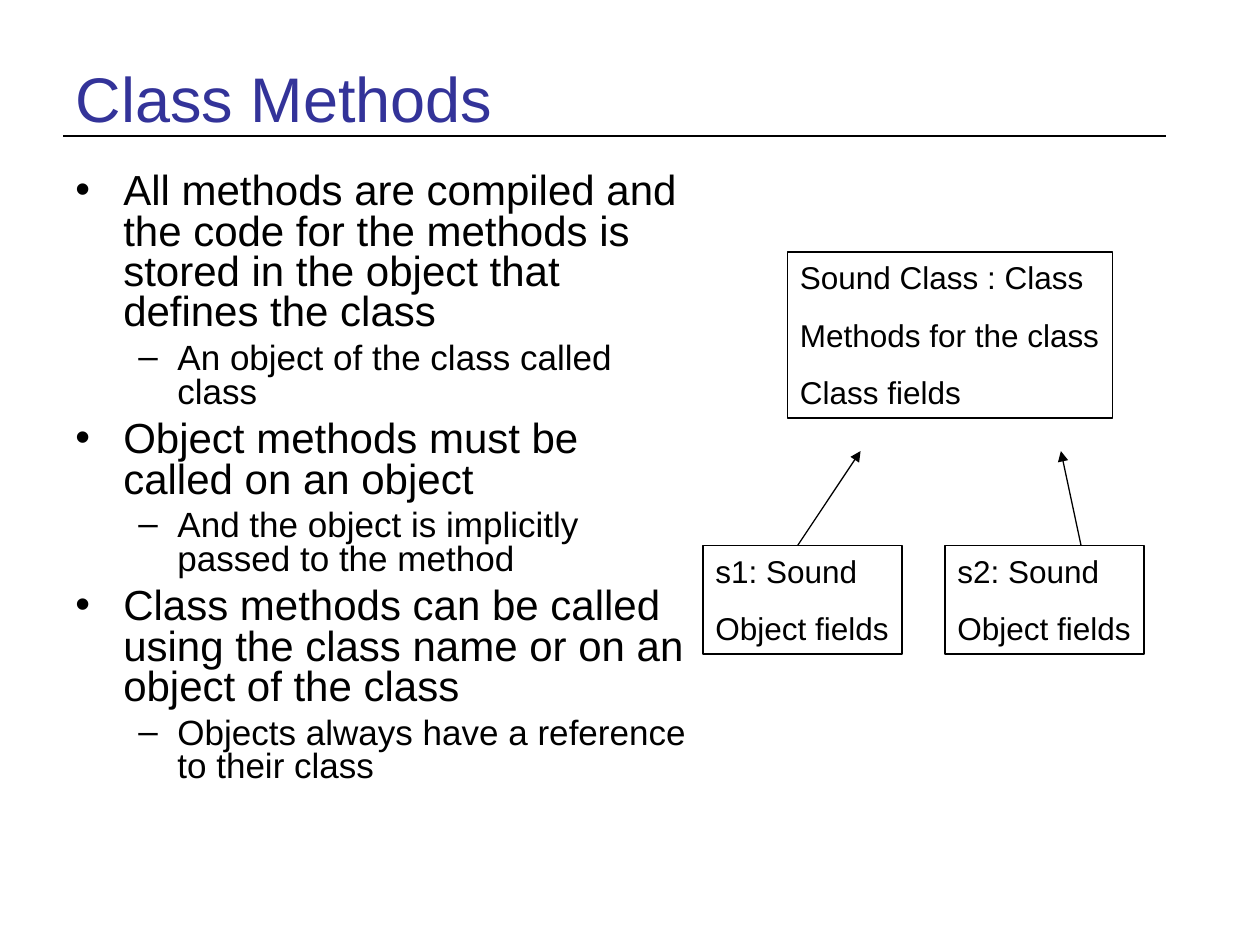
from dataclasses import dataclass

from lxml.etree import SubElement
from pptx import Presentation
from pptx.dml.color import RGBColor
from pptx.enum.shapes import MSO_CONNECTOR as CONNECTOR, MSO_SHAPE as SHAPE
from pptx.enum.text import MSO_ANCHOR as ANCHOR, PP_ALIGN as ALIGN
from pptx.oxml.ns import qn
from pptx.util import Inches, Pt


@dataclass(frozen=True)
class Theme:
    """Colours, font and sizes used across the slide."""
    font: str = "Arial"
    ink: RGBColor = RGBColor(0, 0, 0)
    heading: RGBColor = RGBColor(0x33, 0x33, 0x99)
    title_size: int = 36
    point_size: int = 24
    detail_size: int = 20
    box_size: int = 18


THEME = Theme()

POINTS = [
    ("All methods are compiled and the code for the methods is stored in "
     "the object that defines the class",
     "An object of the class called class"),
    ("Object methods must be called on an object",
     "And the object is implicitly passed to the method"),
    ("Class methods can be called using the class name or on an object of "
     "the class",
     "Objects always have a reference to their class"),
]


def style(paragraph, size, color=THEME.ink):
    """Left-align a paragraph and set the font of its runs."""
    paragraph.alignment = ALIGN.LEFT
    for run in paragraph.runs:
        run.font.name = THEME.font
        run.font.size = Pt(size)
        run.font.color.rgb = color


def set_bullet(paragraph, mark, margin, hang):
    """Give a paragraph a bullet character with a hanging indent."""
    props = paragraph._p.get_or_add_pPr()
    props.set("marL", str(Inches(margin)))
    props.set("indent", str(-Inches(hang)))
    SubElement(props, qn("a:buFont"), typeface=THEME.font)
    SubElement(props, qn("a:buChar"), char=mark)


def add_title(slide, text):
    """Place and format the title placeholder."""
    title = slide.shapes.title
    title.left, title.top = Inches(0.5), Inches(0.3)
    title.width, title.height = Inches(9), Inches(0.95)
    frame = title.text_frame
    frame.text = text
    frame.vertical_anchor = ANCHOR.MIDDLE
    style(frame.paragraphs[0], THEME.title_size, THEME.heading)


def add_points(slide, points):
    """Add the two-level bullet list."""
    frame = slide.shapes.add_textbox(
        Inches(0.5), Inches(1.33), Inches(5.08), Inches(5.37)).text_frame
    frame.word_wrap = True
    lines = [line for pair in points for line in pair]
    frame.text = "\n".join(lines)
    for index, paragraph in enumerate(frame.paragraphs):
        is_detail = index % 2 == 1
        paragraph.line_spacing = 0.8
        if index:
            paragraph.space_before = Pt(5 if is_detail else 6)
        if is_detail:
            paragraph.level = 1
            set_bullet(paragraph, "–", 0.81, 0.31)
            style(paragraph, THEME.detail_size)
        else:
            set_bullet(paragraph, "•", 0.38, 0.38)
            style(paragraph, THEME.point_size)


def add_object_box(slide, left, top, width, height, lines):
    """Add an outlined box listing the parts of a class or an object."""
    box = slide.shapes.add_shape(
        SHAPE.RECTANGLE, Inches(left), Inches(top), Inches(width), Inches(height))
    box.shadow.inherit = False
    box.fill.background()
    box.line.color.rgb = THEME.ink
    box.line.width = Pt(1)
    frame = box.text_frame
    frame.word_wrap = False
    frame.vertical_anchor = ANCHOR.TOP
    frame.text = "\n".join(lines)
    for index, paragraph in enumerate(frame.paragraphs):
        if index:
            paragraph.space_before = Pt(11.2)
        style(paragraph, THEME.box_size)


def add_line(slide, start, end, weight, arrow=False):
    """Add a straight line, optionally with an arrowhead at its end."""
    line = slide.shapes.add_connector(
        CONNECTOR.STRAIGHT, *map(Inches, start), *map(Inches, end))
    line.line.color.rgb = THEME.ink
    line.line.width = Pt(weight)
    if arrow:
        SubElement(line.line._get_or_add_ln(), qn("a:tailEnd"), type="triangle")
    SubElement(line._element.spPr, qn("a:effectLst"))


def main():
    """Build and save the slide."""
    deck = Presentation()
    deck.slide_width, deck.slide_height = Inches(10), Inches(7.5)
    slide = deck.slides.add_slide(deck.slide_layouts[5])
    add_line(slide, (0.5, 1.08), (9.25, 1.08), 1.5)
    add_title(slide, "Class Methods")
    add_points(slide, POINTS)
    add_object_box(slide, 6.25, 2, 2.58, 1.32,
                   ["Sound Class : Class", "Methods for the class", "Class fields"])
    instances = [("s1", 5.58, 6.33, 6.83), ("s2", 7.5, 8.58, 8.42)]
    for name, left, arrow_from, arrow_to in instances:
        add_object_box(slide, left, 4.33, 1.58, 0.86,
                       [f"{name}: Sound", "Object fields"])
        add_line(slide, (arrow_from, 4.33), (arrow_to, 3.58), 0.75, arrow=True)
    deck.save("out.pptx")


if __name__ == "__main__":
    main()
